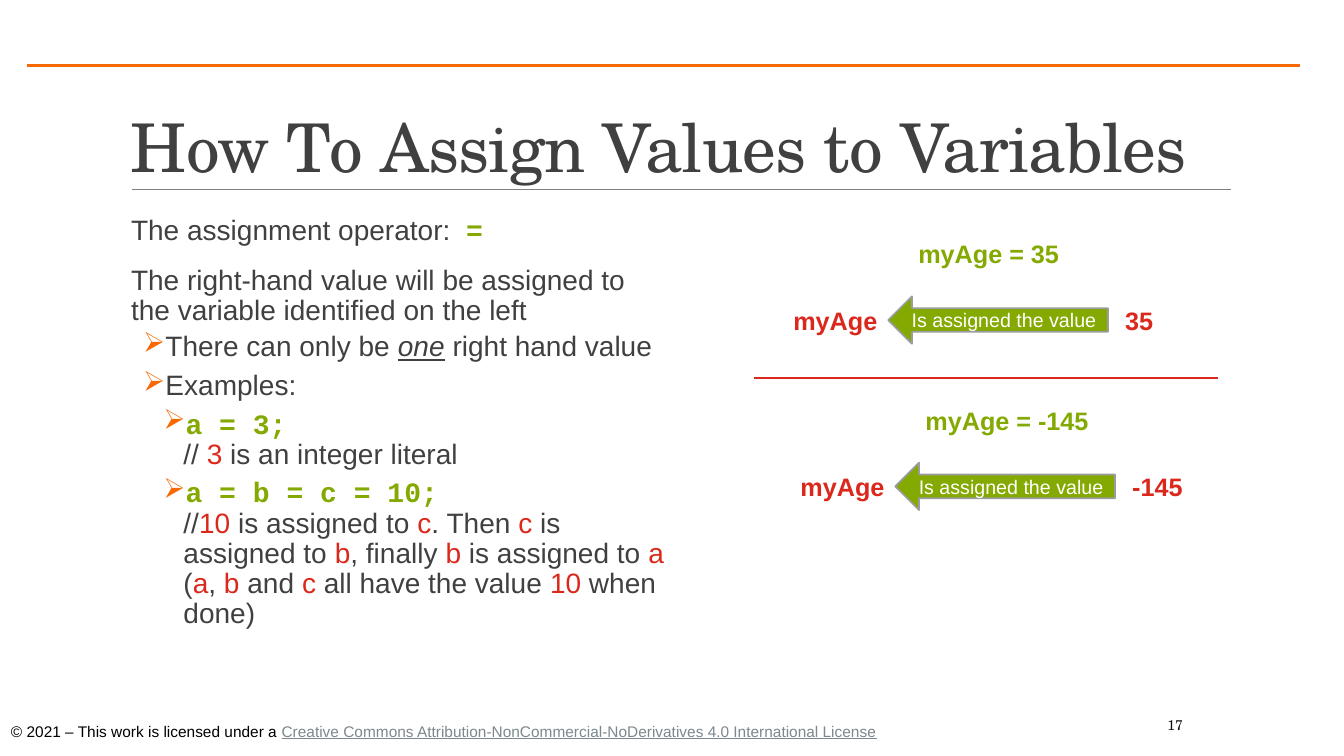
import pptx
import pptx.util
import pptx.dml.color
import pptx.enum.shapes
import pptx.enum.text
import pptx.oxml
import pptx.oxml.ns
import dataclasses


@dataclasses.dataclass(frozen=True)
class Theme:
    sans: str = "Arial"
    serif: str = "TeX Gyre Schola"
    mono: str = "Courier New"
    ink: str = "404040"
    black: str = "000000"
    number: str = "0D0D0D"
    white: str = "FFFFFF"
    green: str = "84A900"
    red: str = "DA291C"
    orange: str = "F76902"
    gray: str = "808080"
    outline: str = "9A9C9D"
    link: str = "7C878E"
    title_size: int = 48
    body_size: int = 20
    label_size: int = 18
    arrow_size: int = 14
    footer_size: int = 11
    number_size: int = 10


theme = Theme()
presentation = pptx.Presentation()
presentation.slide_width = pptx.util.Inches(13.33)
presentation.slide_height = pptx.util.Inches(7.5)
column = presentation.slide_width / 100
row = presentation.slide_height / 100
slide = presentation.slides.add_slide(presentation.slide_layouts[6])
anchors = pptx.enum.text.MSO_ANCHOR


def write(text, box=None, shape=None, size=theme.label_size, font=theme.sans, color=theme.ink,
          bold=False, wrap=True, anchor=anchors.TOP, align=pptx.enum.text.PP_ALIGN.LEFT,
          side_inset=0.1, line_spacing=1.0, before=0, after=0, level=0, margin=0, bullet=False,
          tracking=0):
    if shape is None:
        left, top, width, height = box
        shape = slide.shapes.add_textbox(
            round(left * column), round(top * row), round(width * column), round(height * row))
    frame = shape.text_frame
    frame.word_wrap = wrap
    frame.vertical_anchor = anchor
    frame.margin_left = frame.margin_right = pptx.util.Inches(side_inset)
    paragraph = frame.paragraphs[0]
    if paragraph.runs:
        paragraph = frame.add_paragraph()
    paragraph.level = level
    paragraph.alignment = align
    paragraph.line_spacing = line_spacing
    paragraph.space_before = pptx.util.Pt(before)
    paragraph.space_after = pptx.util.Pt(after)
    properties = paragraph._p.get_or_add_pPr()
    properties.set("marL", str(pptx.util.Inches(margin)))
    properties.set("indent", str(pptx.util.Inches(-0.2 if bullet else 0)))
    if bullet:
        namespace = pptx.oxml.ns.nsdecls("a")
        properties.append(pptx.oxml.parse_xml(
            f'<a:buClr {namespace}><a:srgbClr val="{theme.orange}"/></a:buClr>'))
        properties.append(pptx.oxml.parse_xml(f'<a:buChar {namespace} char="➢"/>'))
    for part in [(text, {})] if isinstance(text, str) else text:
        words, style = part
        if words == "\n":
            paragraph.add_line_break()
            continue
        run = paragraph.add_run()
        run.text = words
        run.font.size = pptx.util.Pt(size)
        run.font.name = style.get("font", font)
        run.font.bold = style.get("bold", bold)
        run.font.italic = style.get("italic", False)
        run.font.underline = style.get("underline", False)
        run.font.color.rgb = pptx.dml.color.RGBColor.from_string(style.get("color", color))
        if tracking:
            run.font._element.set("spc", str(round(tracking * 100)))
    return shape


for start, end, height, color, weight in [
    (9.83, 91.6, 25.07, theme.gray, 0.5),
    (2.03, 96.7, 8.67, theme.orange, 1.5),
    (56.11, 90.62, 50, theme.red, 1.25),
]:
    rule = slide.shapes.add_connector(
        pptx.enum.shapes.MSO_CONNECTOR.STRAIGHT,
        round(start * column), round(height * row), round(end * column), round(height * row))
    rule.line.color.rgb = pptx.dml.color.RGBColor.from_string(color)
    rule.line.width = pptx.util.Pt(weight)
    pptx.oxml.ns.qn("a:effectLst")
    rule._element.spPr.append(
        pptx.oxml.parse_xml(f'<a:effectLst {pptx.oxml.ns.nsdecls("a")}/>'))

write("How To Assign Values to Variables", box=(9, 4.13, 82.52, 21.2), size=theme.title_size,
      font=theme.serif, anchor=anchors.BOTTOM, line_spacing=0.85, tracking=-0.5)
write([("© 2021 – This work is licensed under a ", {}),
       ("Creative Commons Attribution-NonCommercial-NoDerivatives 4.0 International License",
        {"color": theme.link, "underline": True})],
      box=(0.08, 94.8, 66.39, 3.87), size=theme.footer_size, color=theme.black, wrap=False)
write("17", box=(86.12, 93.2, 10.73, 5.33), size=theme.number_size, font=theme.serif,
      color=theme.number, anchor=anchors.MIDDLE)

plain = {}
red = {"color": theme.red}
code = {"font": theme.mono, "color": theme.green, "bold": True}
intro = {"before": 12, "after": 2, "margin": 0.1}
point = {"before": 2, "after": 4, "margin": 0.42, "level": 1, "bullet": True}
example = {**point, "margin": 0.62, "level": 2}
body = slide.shapes.add_textbox(
    round(9 * column), round(28 * row), round(40.5 * column), round(58.27 * row))
for text, layout in [
    ([("The assignment operator:  ", plain), ("=", {"color": theme.green, "bold": True})], intro),
    ("The right-hand value will be assigned to the variable identified on the left", intro),
    ([("There can only be ", plain), ("one", {"italic": True, "underline": True}),
      (" right hand value", plain)], point),
    ("Examples:", point),
    ([("a = 3;", code), ("\n", plain), ("// ", plain), ("3", red),
      (" is an integer literal", plain)], example),
    ([("a = b = c = 10;", code), ("\n", plain), ("//", plain), ("10", red),
      (" is assigned to ", plain), ("c", red), (". Then ", plain), ("c", red),
      (" is assigned to ", plain), ("b", red), (", finally ", plain), ("b", red),
      (" is assigned to ", plain), ("a", red), (" (", plain), ("a", red), (", ", plain),
      ("b", red), (" and ", plain), ("c", red), (" all have the value ", plain), ("10", red),
      (" when done)", plain)], example),
]:
    write(text, shape=body, size=theme.body_size, side_inset=0, line_spacing=0.9, **layout)

for index, (value, heading_width, value_width) in enumerate([("35", 12.08, 3.6),
                                                             ("-145", 13.8, 5.33)]):
    shift = 0.53 * index
    drop = 22 * index
    for text, left, top, width, color in [
        (f"myAge = {value}", 67.59, 30.93, heading_width, theme.green),
        ("myAge", 58.29, 39.73, 7.8, theme.red),
        (value, 82.97, 39.73, value_width, theme.red),
    ]:
        write(text, box=(left + shift, top + drop, width, 5.33), color=color, bold=True,
              wrap=False)
    arrow = slide.shapes.add_shape(
        pptx.enum.shapes.MSO_SHAPE.LEFT_ARROW, round((66.09 + shift) * column),
        round((39.2 + drop) * row), round(16.35 * column), round(6.27 * row))
    arrow.shadow.inherit = False
    arrow.fill.solid()
    arrow.fill.fore_color.rgb = pptx.dml.color.RGBColor.from_string(theme.green)
    arrow.line.color.rgb = pptx.dml.color.RGBColor.from_string(theme.outline)
    arrow.line.width = pptx.util.Pt(1.25)
    write("Is assigned the value", shape=arrow, size=theme.arrow_size, color=theme.white,
          anchor=anchors.MIDDLE, align=pptx.enum.text.PP_ALIGN.CENTER, side_inset=0.05)

presentation.save("out.pptx")
